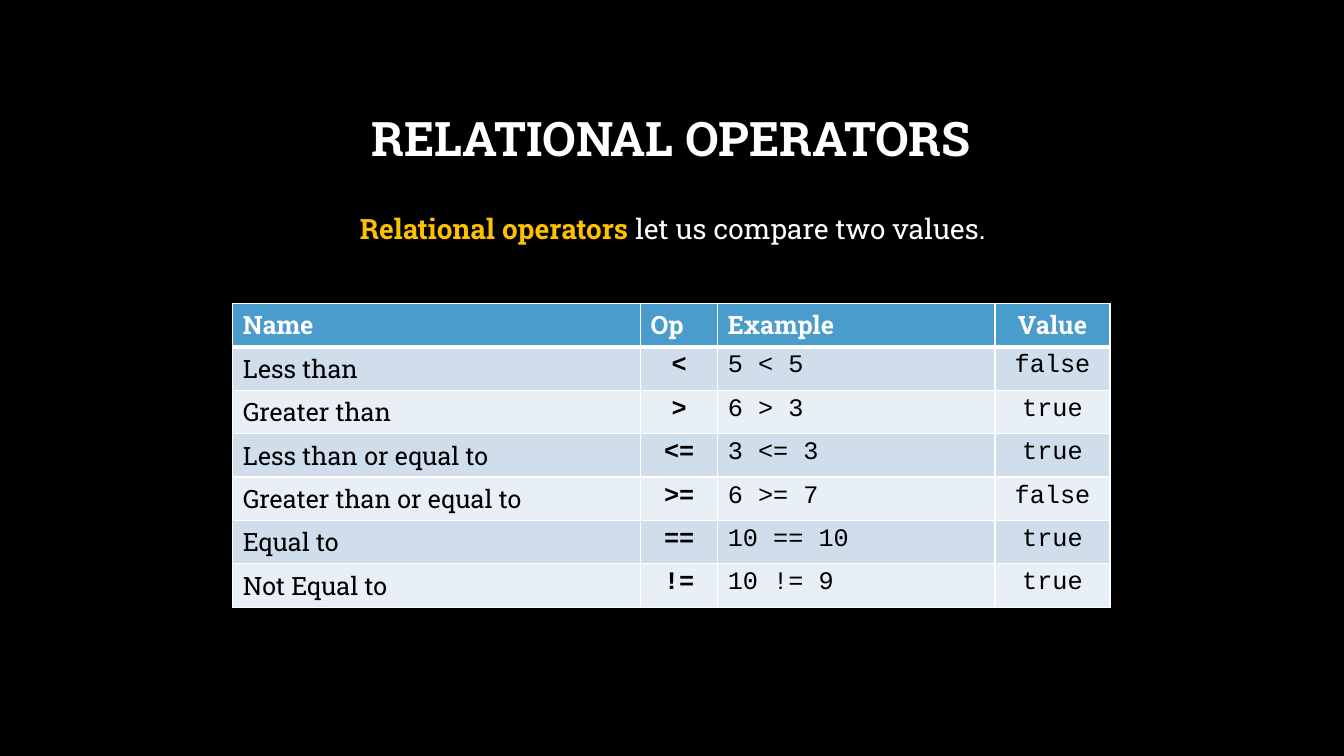
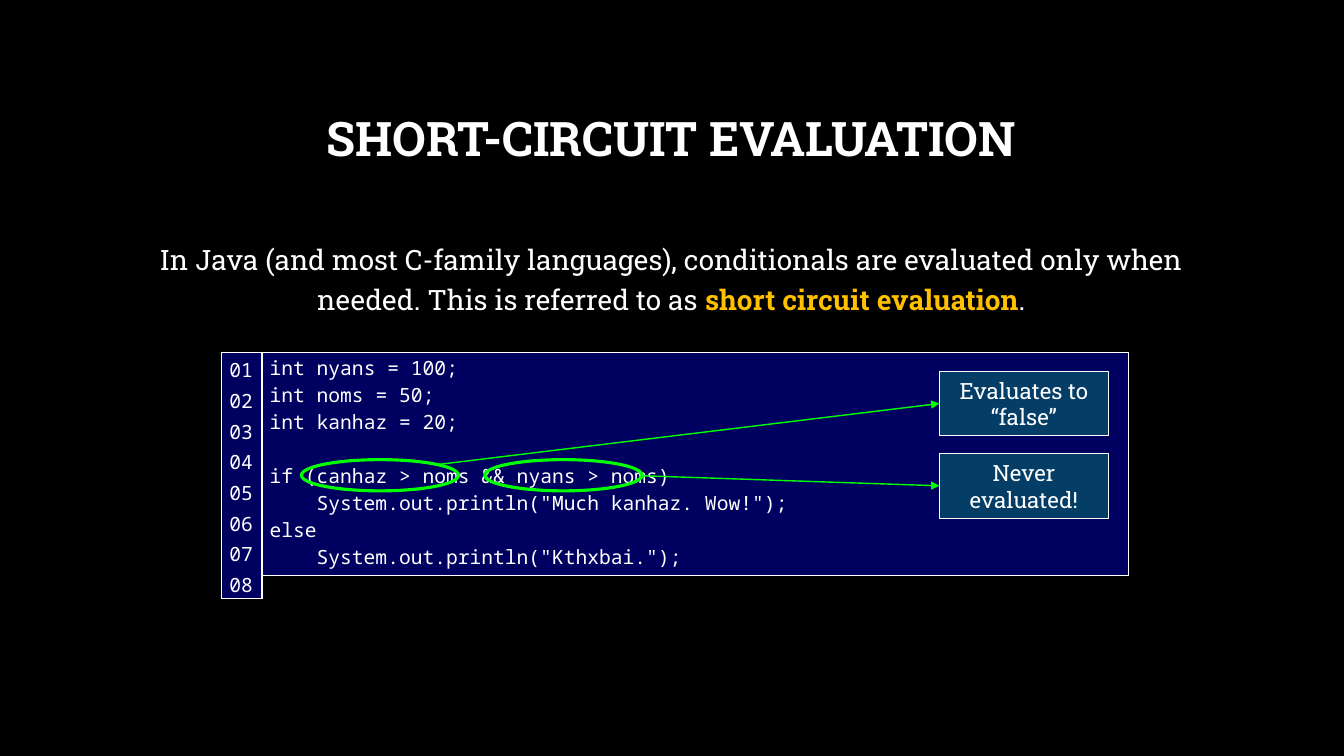
from lxml import etree
from pptx import Presentation
from pptx.dml.color import RGBColor
from pptx.enum.shapes import MSO_CONNECTOR, MSO_SHAPE
from pptx.enum.text import MSO_ANCHOR, MSO_AUTO_SIZE, PP_ALIGN
from pptx.oxml.ns import qn
from pptx.util import Pt

LEFT, CENTER = PP_ALIGN.LEFT, PP_ALIGN.CENTER
TOP, MIDDLE = MSO_ANCHOR.TOP, MSO_ANCHOR.MIDDLE
RECT, OVAL = MSO_SHAPE.RECTANGLE, MSO_SHAPE.OVAL
STRAIGHT = MSO_CONNECTOR.STRAIGHT
NO_FIT = MSO_AUTO_SIZE.NONE

SLAB, COURIER, MONO = "Roboto Slab", "Courier New", "Noto Sans Mono"
BLACK, WHITE, GOLD, GREEN = "000000", "FFFFFF", "FFC000", "00FF00"
HEADER, BANDS = "4A9CCC", ("D0DEEC", "E9EFF6")
CODE_BLUE, NOTE_BLUE = "000060", "043D66"

TITLE_BOX = (72, 48.24, 815.04, 104.4)

OPERATORS_TITLE = "RELATIONAL OPERATORS"
OPERATORS_INTRO = [("Relational operators ", True),
                   ("let us compare two values.", False)]
OPERATORS_BOX = (61.92, 142.56, 837.36, 35.28)
OPERATORS = [
    ("Name", "Op", "Example", "Value"),
    ("Less than", "<", "5 < 5", "false"),
    ("Greater than", ">", "6 > 3", "true"),
    ("Less than or equal to", "<=", "3 <= 3", "true"),
    ("Greater than or equal to", ">=", "6 >= 7", "false"),
    ("Equal to", "==", "10 == 10", "true"),
    ("Not Equal to", "!=", "10 != 9", "true"),
]
COLUMN_WIDTHS = (291.2, 55.2, 198, 82.2)
HEADER_ALIGN = (LEFT, LEFT, LEFT, CENTER)
BODY_ALIGN = (LEFT, CENTER, LEFT, CENTER)

CIRCUIT_TITLE = "SHORT-CIRCUIT EVALUATION"
CIRCUIT_INTRO = [
    ("In Java (and most C-family languages), conditionals are evaluated only "
     "when needed. This is referred to as ", False),
    ("short circuit evaluation", True),
    (".", False),
]
CIRCUIT_BOX = (72, 164.88, 815.04, 74.16)
CODE = [
    ("int nyans = 100;", 0, 0),
    ("int noms = 50;", 0, 0),
    ("int kanhaz = 20;", 0, 0),
    ("if (canhaz > noms && nyans > noms)", 0, 1),
    ('System.out.println("Much kanhaz. Wow!");', 1, 0),
    ("else", 0, 0),
    ('System.out.println("Kthxbai.");', 1, 0),
]
CODE_LINES = 8
CODE_SPACING = 1.15
CODE_TOP, CODE_HEIGHT = 252, 159.12
CODE_LINE, CODE_INDENT = 19.26, 33.6
NOTES = [
    ("Evaluates to “false”", 215.28, (311.76, 331.92), 265.2),
    ("Never evaluated!", 346.32, (458.64, 339.84), 324),
]


def color(value):
    return RGBColor.from_string(value)


def points(values):
    return [Pt(v) for v in values]


def add_text(p, text, font=SLAB, size=18, fill=WHITE, bold=False, align=LEFT,
             spacing=1.0, before=0):
    p.alignment = align
    p.line_spacing = spacing
    p.space_before = Pt(before)
    r = p.add_run()
    r.text = text
    r.font.name = font
    r.font.size = Pt(size)
    r.font.bold = bold
    r.font.color.rgb = color(fill)


def add_slide(prs, title, intro, box):
    s = prs.slides.add_slide(prs.slide_layouts[1])
    add_text(s.shapes.title.text_frame.paragraphs[0], title, size=34,
             bold=True, align=CENTER, spacing=0.9)
    body = s.placeholders[1]
    body.left, body.top, body.width, body.height = points(box)
    tf = body.text_frame
    tf.auto_size = NO_FIT
    p = tf.paragraphs[0]
    for text, key in intro:
        add_text(p, text, size=20, fill=GOLD if key else WHITE, bold=key,
                 align=CENTER, spacing=1.2, before=10)
    pPr = p._p.get_or_add_pPr()
    pPr.set("marL", "0")
    pPr.set("indent", "0")
    etree.SubElement(pPr, qn("a:buNone"))
    return s


def add_box(s, kind, box, line, width, fill=None, anchor=MIDDLE):
    sp = s.shapes.add_shape(kind, *points(box))
    sp.shadow.inherit = False
    if fill:
        sp.fill.solid()
        sp.fill.fore_color.rgb = color(fill)
    else:
        sp.fill.background()
    sp.line.color.rgb = color(line)
    sp.line.width = Pt(width)
    tf = sp.text_frame
    tf.word_wrap = True
    tf.vertical_anchor = anchor
    return sp


def add_table(s, left, top, widths, rows, row_height):
    frame = s.shapes.add_table(rows, len(widths), Pt(left), Pt(top),
                               Pt(sum(widths)), Pt(row_height * rows))
    table = frame.table
    for column, width in zip(table.columns, widths):
        column.width = Pt(width)
    return table


def style_cell(cell, fill, top=1, bottom=1):
    tcPr = cell._tc.get_or_add_tcPr()
    for side, width in zip("LRTB", (1, 1, top, bottom)):
        ln = etree.SubElement(tcPr, qn("a:ln" + side), w=str(Pt(width)))
        solid = etree.SubElement(ln, qn("a:solidFill"))
        etree.SubElement(solid, qn("a:srgbClr"), val=WHITE)
    cell.fill.solid()
    cell.fill.fore_color.rgb = color(fill)


def add_arrow(s, start, target):
    line = s.shapes.add_connector(STRAIGHT, *points(start),
                                  target.left, target.top)
    line.end_connect(target, 1)
    line.line.color.rgb = color(GREEN)
    line.line.width = Pt(1)
    etree.SubElement(line.line._get_or_add_ln(), qn("a:tailEnd"),
                     type="triangle")
    etree.SubElement(line._element.spPr, qn("a:effectLst"))


def build_operators(prs):
    s = add_slide(prs, OPERATORS_TITLE, OPERATORS_INTRO, OPERATORS_BOX)
    table = add_table(s, 166.32, 216.72, COLUMN_WIDTHS, len(OPERATORS), 29.52)
    for i, row in enumerate(OPERATORS):
        head = i == 0
        for j, text in enumerate(row):
            cell = table.cell(i, j)
            style_cell(cell, HEADER if head else BANDS[(i - 1) % 2],
                       top=3 if i == 1 else 1, bottom=3 if head else 1)
            add_text(cell.text_frame.paragraphs[0], text,
                     font=SLAB if head or j == 0 else COURIER,
                     fill=WHITE if head else BLACK, bold=head or j == 1,
                     align=(HEADER_ALIGN if head else BODY_ALIGN)[j])


def build_circuit(prs):
    s = add_slide(prs, CIRCUIT_TITLE, CIRCUIT_INTRO, CIRCUIT_BOX)

    code = add_box(s, RECT, (187.2, CODE_TOP, 619.2, CODE_HEIGHT), WHITE,
                   0.75, CODE_BLUE, TOP)
    tf = code.text_frame
    tf.margin_left = tf.margin_right = Pt(5.4)
    tf.margin_top = tf.margin_bottom = 0
    for i, (text, level, gap) in enumerate(CODE):
        p = tf.add_paragraph() if i else tf.paragraphs[0]
        add_text(p, text, font=MONO, size=14, spacing=CODE_SPACING,
                 before=gap * CODE_LINE)
        p._p.get_or_add_pPr().set("marL", str(Pt(level * CODE_INDENT)))

    cell = add_table(s, 158.4, CODE_TOP, [28.8], 1, CODE_HEIGHT).cell(0, 0)
    style_cell(cell, CODE_BLUE)
    cell.margin_left = cell.margin_right = Pt(5.4)
    cell.margin_top = cell.margin_bottom = 0
    tf = cell.text_frame
    for i in range(CODE_LINES):
        p = tf.add_paragraph() if i else tf.paragraphs[0]
        add_text(p, f"{i + 1:02}", font=MONO, size=14, spacing=CODE_SPACING)

    for text, oval_left, start, top in NOTES:
        add_box(s, OVAL, (oval_left, 328.32, 112.32, 22.32), GREEN, 2.25)
        note = add_box(s, RECT, (671.04, top, 120.6, 46.08), WHITE, 0.75,
                       NOTE_BLUE)
        add_text(note.text_frame.paragraphs[0], text, size=16, align=CENTER)
        add_arrow(s, start, note)


def main():
    prs = Presentation()
    prs.slide_width, prs.slide_height = Pt(960), Pt(540)
    background = prs.slide_master.background.fill
    background.solid()
    background.fore_color.rgb = color(BLACK)
    title = prs.slide_layouts[1].placeholders[0]
    title.left, title.top, title.width, title.height = points(TITLE_BOX)
    title.text_frame.vertical_anchor = MIDDLE
    title.text_frame.auto_size = NO_FIT
    build_operators(prs)
    build_circuit(prs)
    prs.save("out.pptx")


if __name__ == "__main__":
    main()
